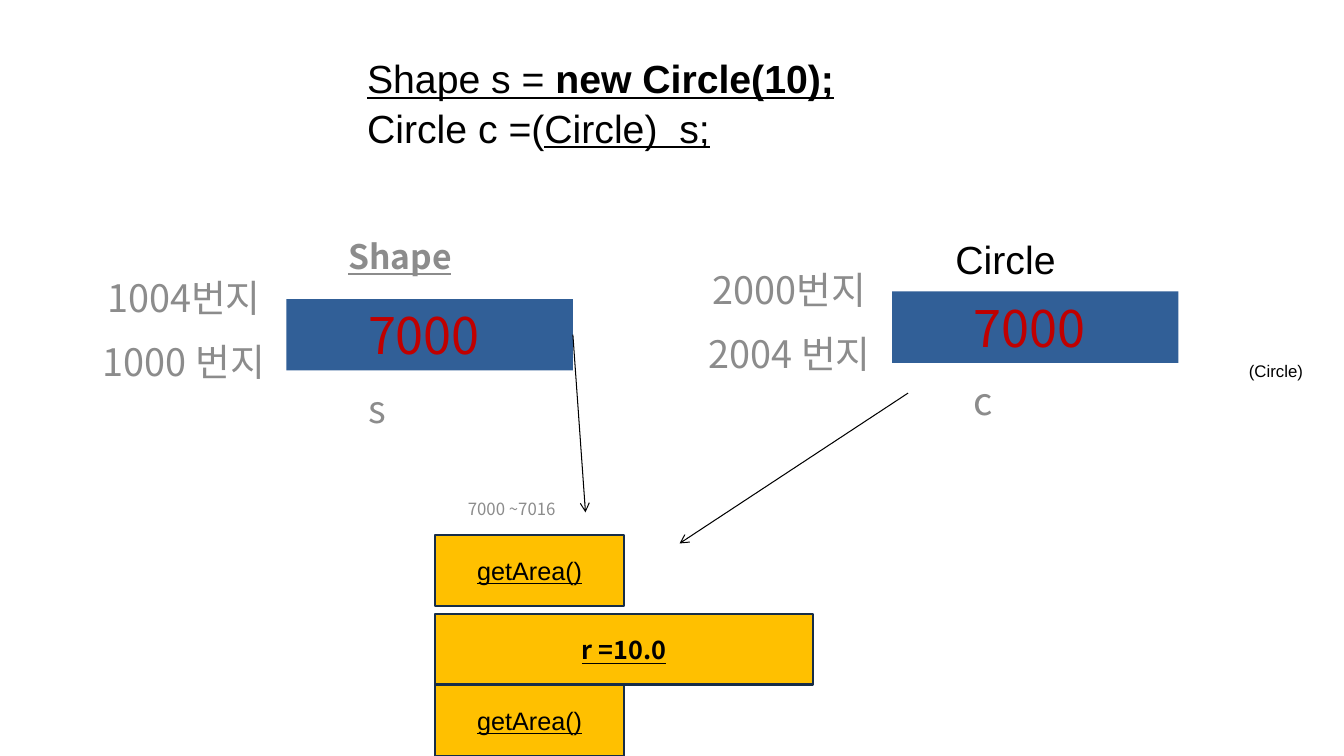
import pptx
import pptx.util
import pptx.dml.color
import pptx.enum.shapes
import pptx.enum.text
import pptx.oxml.ns
from lxml import etree

COLORS = {"black": "000000", "gray": "8C8C8C", "red": "C00000",
          "blue": "315F97", "gold": "FFC000", "navy": "172D48"}
SANS, KOREAN = "Arial", "Noto Sans CJK KR"
WIDTH, HEIGHT = pptx.util.Inches(13.33), pptx.util.Inches(7.5)
COLUMNS, ROWS = 160, 90
ALIGN = pptx.enum.text.PP_ALIGN
ANCHOR = pptx.enum.text.MSO_ANCHOR

CODE = {"name": SANS, "size": 28, "color": "black"}
GRAY = {"name": KOREAN, "size": 27, "color": "gray"}
VALUE = {"name": KOREAN, "size": 36, "color": "red"}
METHOD = {"name": SANS, "size": 18, "color": "black", "underline": True}
FIELD = {**METHOD, "name": KOREAN, "bold": True}
SHAPE_TYPE = {**GRAY, "size": 24, "bold": True, "underline": True}


def rgb(name):
    """Return the named colour."""
    return pptx.dml.color.RGBColor.from_string(COLORS[name])


def grid(left, top, *size):
    """Turn columns and rows of the slide grid into lengths."""
    steps = (WIDTH / COLUMNS, HEIGHT / ROWS)
    return [round(value * steps[index % 2])
            for index, value in enumerate((left, top, *size))]


def add_span(para, text, style):
    """Add one formatted run to a paragraph."""
    span = para.add_run()
    span.text = text
    span.font.color.rgb = rgb(style["color"])
    values = {**style, "size": pptx.util.Pt(style["size"])}
    for key in ("name", "size", "bold", "underline"):
        if key in values:
            setattr(span.font, key, values[key])
    east = etree.SubElement(span.font._element, pptx.oxml.ns.qn("a:ea"))
    east.set("typeface", style["name"])


def add_label(page, box, text, style, align=ALIGN.CENTER, wrap=True):
    """Place a one-line label at the top of its box."""
    label = page.shapes.add_textbox(*grid(*box))
    label.text_frame.word_wrap = wrap
    para = label.text_frame.paragraphs[0]
    para.alignment = align
    para.line_spacing = 0.9 if style["name"] == KOREAN else 1.05
    add_span(para, text, style)


def add_block(page, box, fill, text, style, outline=None):
    """Draw a filled memory block with centred text."""
    block = page.shapes.add_shape(
        pptx.enum.shapes.MSO_SHAPE.RECTANGLE, *grid(*box))
    block.shadow.inherit = False
    block.fill.solid()
    block.fill.fore_color.rgb = rgb(fill)
    if outline:
        block.line.color.rgb = rgb(outline)
        block.line.width = pptx.util.Pt(1.5)
    else:
        block.line.fill.background()
    block.text_frame.word_wrap = True
    block.text_frame.vertical_anchor = ANCHOR.MIDDLE
    para = block.text_frame.paragraphs[0]
    para.alignment = ALIGN.CENTER
    add_span(para, text, style)
    return block


def add_code_title(page, box):
    """Set the two statements in the title placeholder."""
    title = page.shapes.title
    title.left, title.top, title.width, title.height = grid(*box)
    frame = title.text_frame
    formats = {"word_wrap": True, "vertical_anchor": ANCHOR.TOP,
               "auto_size": pptx.enum.text.MSO_AUTO_SIZE.NONE}
    for key, value in formats.items():
        setattr(frame, key, value)
    para = frame.paragraphs[0]
    para.alignment = ALIGN.LEFT
    para.line_spacing = 1.05
    add_span(para, "Shape s = ", {**CODE, "underline": True})
    add_span(para, "new Circle(10);", {**CODE, "bold": True, "underline": True})
    para.add_line_break()
    add_span(para, "Circle c =(", CODE)
    add_span(para, "Circle)  s;", {**CODE, "underline": True})


def add_variable(page, box, kind, kind_style, addresses, name):
    """Draw a reference variable with its type, addresses and name."""
    left, top, width, height = box
    add_label(page, (left - 1, top - 7.6, 29, 5.8), kind, kind_style)
    for index, address in enumerate(addresses):
        add_label(page, (left - 24.4, top - 2.9 + 7.6 * index, 24.4, 5.8),
                  address, GRAY)
    add_label(page, (left, top + 10.3, 21.6, 5.8), name, GRAY)
    return add_block(page, box, "blue", "7000 ", VALUE)


def add_object(page, box):
    """Draw the Circle object with its address range and members."""
    left, top, width, height = box
    add_label(page, (left - 6.6, top - 4.7, 31.9, 3.6), "7000 ~7016 ",
              {**GRAY, "size": 12})
    members = [(0, width / 2, "getArea()", METHOD),
               (9.4, width, "r =10.0", FIELD),
               (17.9, width / 2, "getArea()", METHOD)]
    for offset, span, text, style in members:
        add_block(page, (left, top + offset, span, height), "gold", text,
                  style, "navy")


def add_arrow(page, start, end, source=None):
    """Draw a thin arrow, joined to the right side of its source block."""
    arrow = page.shapes.add_connector(
        pptx.enum.shapes.MSO_CONNECTOR.STRAIGHT, *grid(*start), *grid(*end))
    if source is not None:
        arrow.begin_connect(source, 3)
    arrow.line.color.rgb = rgb("black")
    arrow.line.width = pptx.util.Pt(0.75)
    line = arrow.line._get_or_add_ln()
    etree.SubElement(line, pptx.oxml.ns.qn("a:tailEnd")).set("type", "arrow")
    etree.SubElement(arrow._element.spPr, pptx.oxml.ns.qn("a:effectLst"))


def main():
    """Build the slide on casting a Shape reference."""
    deck = pptx.Presentation()
    deck.slide_width, deck.slide_height = WIDTH, HEIGHT
    page = deck.slides.add_slide(deck.slide_layouts[5])
    add_code_title(page, (42.5, 5.6, 90, 16.9))
    shape_block = add_variable(page, (34.1, 35.6, 34.1, 8.5), "Shape",
                               SHAPE_TYPE, ("1004번지", "1000 번지"), "s")
    add_variable(page, (106.2, 34.7, 34.1, 8.5), "Circle", CODE,
                 ("2000번지", "2004 번지"), "c")
    add_object(page, (51.8, 63.7, 45, 8.4))
    add_label(page, (147.5, 42.2, 9.4, 3.6), "(Circle)",
              {**CODE, "size": 12}, ALIGN.LEFT, False)
    add_arrow(page, (68.2, 39.85), (69.7, 61), shape_block)
    add_arrow(page, (108.1, 46.8), (80.9, 64.7))
    deck.save("out.pptx")


if __name__ == "__main__":
    main()
